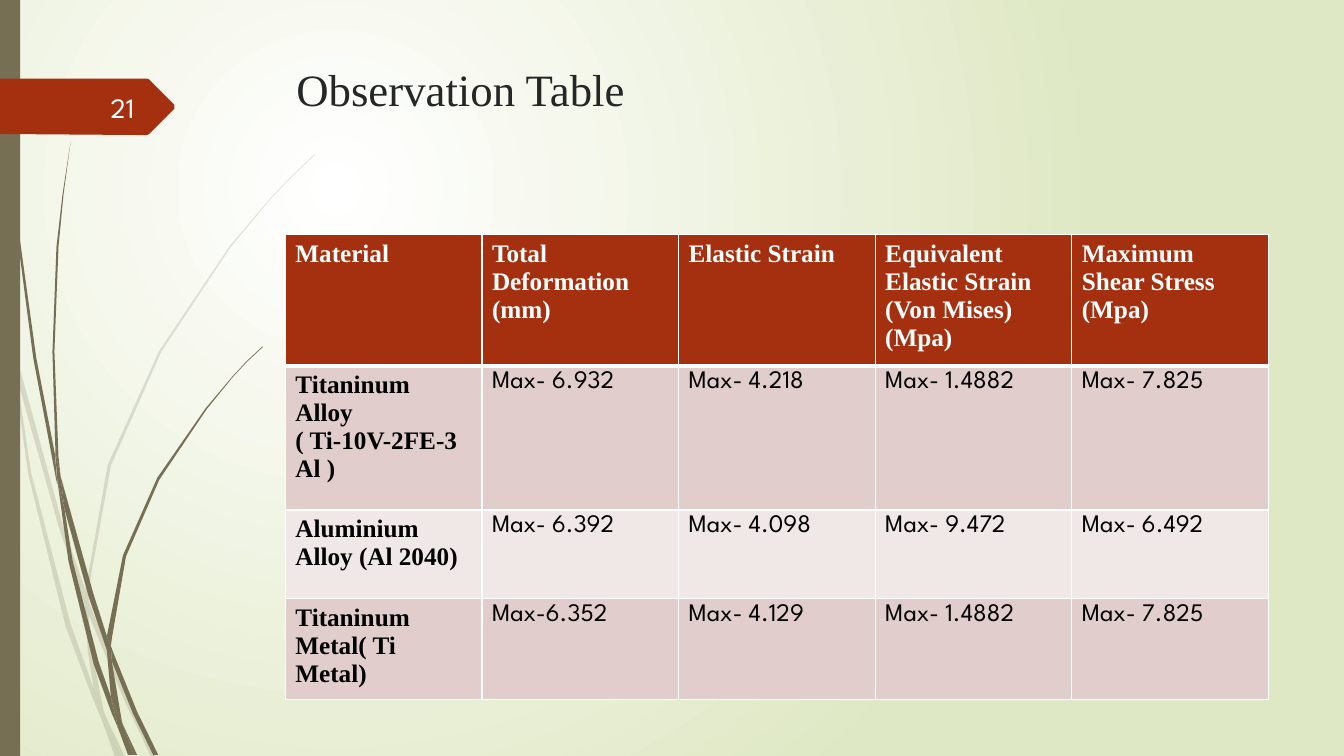
from pptx import Presentation
from pptx.dml.color import RGBColor
from pptx.enum.shapes import MSO_SHAPE
from pptx.enum.text import MSO_ANCHOR, PP_ALIGN
from pptx.oxml import parse_xml
from pptx.oxml.ns import qn
from pptx.util import Inches, Pt
from lxml import etree

SERIF, SANS = "Times New Roman", "League Spartan"
OLIVE, RUST, WHITE, BLACK = "766F54", "A53010", "FFFFFF", "000000"
BANDS = ["E1CDCC", "F0E8E7"]

# Outlines are corner points in hundredths of an inch
PALE_GRASS = [
    [(11, 350), (9, 322), (0, 282), (0, 299), (10, 344)],
    [(58, 522), (84, 599), (85, 586), (62, 520), (14, 345), (17, 376)],
    [(92, 607), (88, 596), (88, 610), (123, 694), (150, 751), (155, 751),
     (127, 692)],
    [(119, 751), (124, 751), (105, 711)],
    [(93, 683), (70, 619), (31, 469), (17, 376), (11, 350), (28, 470),
     (65, 621), (92, 693), (101, 714), (99, 707)],
    [(84, 599), (87, 646), (93, 683), (96, 692), (105, 711), (103, 706),
     (91, 646), (88, 610), (88, 608)],
    [(88, 584), (110, 462), (160, 349), (229, 245), (268, 198), (290, 175),
     (312, 154), (312, 153), (289, 175), (268, 197), (228, 244), (158, 348),
     (107, 461), (85, 584), (85, 586), (88, 596)],
    [(101, 714), (114, 751), (119, 751)],
    [(88, 608), (88, 610), (88, 596), (85, 586), (84, 599)],
    [(96, 692), (93, 683), (99, 707), (101, 714), (119, 751), (105, 711)],
]
DARK_GRASS = [
    [(7, 110), (17, 233), (33, 355), (56, 477), (57, 481), (55, 457),
     (55, 453), (36, 355), (19, 232), (8, 109), (5, 48), (4, 0), (3, 0),
     (4, 48)],
    [(88, 592), (106, 645), (106, 633), (106, 631), (93, 590), (60, 472),
     (64, 505)],
    [(113, 649), (110, 641), (111, 656), (132, 708), (152, 749), (157, 749),
     (136, 706)],
    [(110, 691), (98, 657), (72, 556), (64, 505), (57, 477), (68, 557),
     (93, 659), (111, 708), (117, 722), (116, 717)],
    [(60, 472), (58, 453), (54, 349), (58, 245), (63, 193), (70, 141),
     (62, 193), (56, 245), (52, 349), (55, 449)],
    [(133, 749), (136, 749), (122, 719)],
    [(57, 477), (64, 505), (60, 472), (55, 449), (55, 453)],
    [(111, 633), (125, 552), (158, 476), (205, 406), (231, 374), (245, 359),
     (261, 344), (260, 344), (245, 358), (231, 373), (204, 405), (156, 474),
     (122, 551), (106, 631), (110, 641)],
    [(117, 722), (127, 749), (131, 749)],
    [(106, 645), (110, 691), (116, 706), (122, 719), (121, 716), (111, 656),
     (109, 651)],
    [(106, 645), (109, 651), (111, 656), (110, 641), (106, 631), (106, 633)],
    [(116, 706), (110, 691), (116, 717), (117, 722), (130, 749), (133, 749),
     (122, 719)],
]
NUMBER_TAG = [(173, 108), (148, 133), (146, 134), (136, 134), (0, 133),
              (0, 78), (136, 78), (146, 78), (148, 79), (173, 104)]

# Each cell is a list of paragraphs
HEADINGS = [["Material"], ["Total Deformation", "(mm)"], ["Elastic Strain"],
            ["Equivalent Elastic Strain (Von Mises)", "(Mpa)"],
            ["Maximum Shear Stress", "(Mpa)"]]
RESULTS = [
    ["Titaninum Alloy ( Ti-10V-2FE-3Al )",
     "Max- 6.932", "Max- 4.218", "Max- 1.4882", "Max- 7.825"],
    ["Aluminium Alloy (Al 2040)",
     "Max- 6.392", "Max- 4.098", "Max- 9.472", "Max- 6.492"],
    ["Titaninum Metal( Ti Metal)",
     "Max-6.352", "Max- 4.129", "Max- 1.4882", "Max- 7.825"],
]
ROW_HEIGHTS = [1.21, 1.43, 0.88, 0.93]


def colour(value):
    return RGBColor.from_string(value)


def paint(shape, value, opacity=100):
    shape.shadow.inherit = False
    shape.fill.solid()
    shape.fill.fore_color.rgb = colour(value)
    shape.line.fill.background()
    if opacity < 100:
        tint = shape.fill._xPr.find(qn("a:solidFill"))[0]
        etree.SubElement(tint, qn("a:alpha"), val=str(opacity * 1000))


def paint_background(page):
    page.background.fill.solid()
    solid = page.background.fill._xPr.find(qn("a:solidFill"))
    gradient = parse_xml(
        '<a:gradFill xmlns:a="http://schemas.openxmlformats.org/drawingml/2006/main"'
        ' rotWithShape="1"><a:gsLst>'
        '<a:gs pos="0"><a:srgbClr val="FFFFFF"/></a:gs>'
        '<a:gs pos="100000"><a:srgbClr val="DFE8C4"/></a:gs></a:gsLst>'
        '<a:path path="circle"><a:fillToRect l="50000" t="50000" r="100000"'
        ' b="100000"/></a:path></a:gradFill>')
    solid.getparent().replace(solid, gradient)


def add_outline(shapes, points, value, opacity=100):
    builder = shapes.build_freeform(*points[0], scale=Inches(0.01))
    builder.add_line_segments(points[1:], close=True)
    paint(builder.convert_to_shape(), value, opacity)


def add_grass(page, blades, opacity):
    tuft = page.shapes.add_group_shape()
    for blade in blades:
        add_outline(tuft.shapes, blade, OLIVE, opacity)


def write(para, text, size, font, value, bold=False):
    span = para.add_run()
    span.text = text
    span.font.size, span.font.name, span.font.bold = Pt(size), font, bold
    span.font.color.rgb = colour(value)


def add_text(page, place, text, size, font, value, align, anchor):
    box = page.shapes.add_textbox(*[Inches(length) for length in place])
    frame = box.text_frame
    frame.word_wrap = True
    frame.vertical_anchor = anchor
    frame.paragraphs[0].alignment = align
    write(frame.paragraphs[0], text, size, font, value)


def add_borders(cell, top, bottom):
    properties = cell._tc.get_or_add_tcPr()
    for side, width in zip("LRTB", (1, 1, top, bottom)):
        line = etree.SubElement(properties, qn("a:ln" + side), w=str(Pt(width)))
        fill = etree.SubElement(line, qn("a:solidFill"))
        etree.SubElement(fill, qn("a:srgbClr"), val=WHITE)


def fill_cell(cell, lines, font, value, bold, fill, top=1, bottom=1):
    add_borders(cell, top, bottom)
    cell.fill.solid()
    cell.fill.fore_color.rgb = colour(fill)
    frame = cell.text_frame
    for index, line in enumerate(lines):
        para = frame.add_paragraph() if index else frame.paragraphs[0]
        write(para, line, 18, font, value, bold)


def add_results(page):
    table = page.shapes.add_table(
        len(ROW_HEIGHTS), len(HEADINGS), Inches(2.83), Inches(2.33),
        Inches(9.75), Inches(sum(ROW_HEIGHTS))).table
    table.horz_banding = False
    for row, height in zip(table.rows, ROW_HEIGHTS):
        row.height = Inches(height)
    for column, heading in enumerate(HEADINGS):
        fill_cell(table.cell(0, column), heading, SERIF, WHITE, True, RUST,
                  bottom=3)
    for row, values in enumerate(RESULTS, 1):
        for column, value in enumerate(values):
            is_label = column == 0
            fill_cell(table.cell(row, column), [value],
                      SERIF if is_label else SANS, BLACK, is_label,
                      BANDS[(row - 1) % 2], top=3 if row == 1 else 1)


def main():
    deck = Presentation()
    deck.slide_width, deck.slide_height = Inches(13.33), Inches(7.5)
    page = deck.slides.add_slide(deck.slide_layouts[6])

    # Backdrop
    paint_background(page)
    add_grass(page, PALE_GRASS, 20)
    add_grass(page, DARK_GRASS, 100)
    edge = page.shapes.add_shape(MSO_SHAPE.RECTANGLE, 0, 0, Inches(0.2),
                                 Inches(7.5))
    paint(edge, OLIVE)
    add_outline(page.shapes, NUMBER_TAG, RUST)

    # Title, table and page number
    add_text(page, (2.84, 0.56, 9.75, 1.4), "Observation Table", 32, SERIF,
             "262626", PP_ALIGN.LEFT, MSO_ANCHOR.TOP)
    add_results(page)
    add_text(page, (0.58, 0.86, 0.85, 0.4), "21", 20, SANS, "FEFFFF",
             PP_ALIGN.RIGHT, MSO_ANCHOR.MIDDLE)

    deck.save("out.pptx")


if __name__ == "__main__":
    main()
